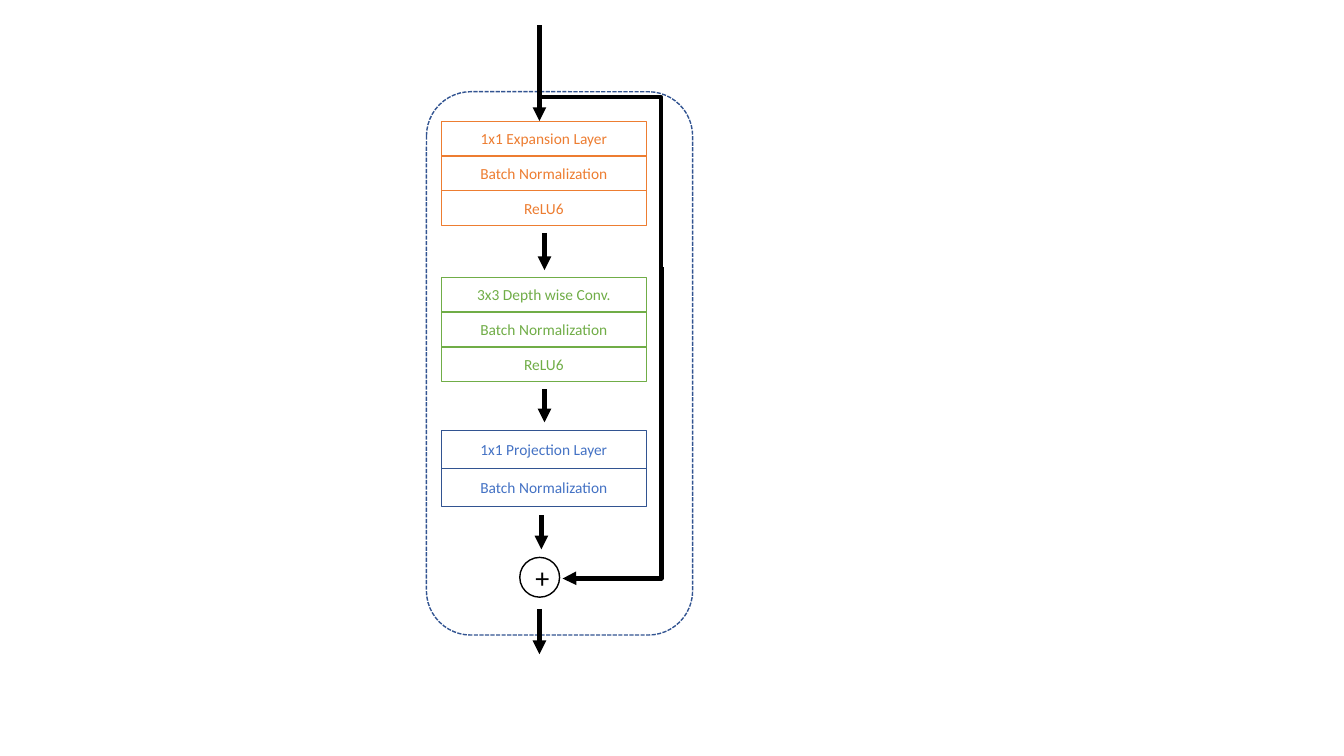
"""Build a slide of an inverted residual block with its skip path."""
from dataclasses import dataclass

from pptx import Presentation
from pptx.dml.color import RGBColor
from pptx.enum.dml import MSO_LINE as Dash
from pptx.enum.shapes import MSO_CONNECTOR as Link, MSO_SHAPE as Form
from pptx.enum.text import MSO_ANCHOR as Anchor, PP_ALIGN as Align
from pptx.oxml.ns import qn
from pptx.util import Inches, Pt


@dataclass(frozen=True)
class Theme:
    """Colours, type sizes, line widths and the grid cell in inches."""
    expansion: str = "ED7D31"
    depthwise: str = "70AD47"
    projection: str = "4472C4"
    frame: str = "325491"
    flow: str = "000000"
    font: str = "Calibri"
    label_size: float = 11
    sum_size: float = 20
    thin: float = 1
    thick: float = 3.25
    cell: float = 0.1


class BlockDiagram:
    """Draws diagram parts on one slide in grid columns and rows."""

    def __init__(self, slide, theme):
        """Keep the slide and its style."""
        self.slide, self.theme = slide, theme

    def grid(self, *cells):
        """Turn grid cells into lengths."""
        return [Inches(cell * self.theme.cell) for cell in cells]

    def outline(self, form, at, colour, parent=None):
        """Add an unfilled shape with a thin line."""
        shape = (parent or self.slide).shapes.add_shape(form, *self.grid(*at))
        shape.shadow.inherit = False
        shape.fill.background()
        shape.line.color.rgb = RGBColor.from_string(colour)
        shape.line.width = Pt(self.theme.thin)
        return shape

    def label(self, shape, wording, size, colour):
        """Write centred text in a shape."""
        shape.text_frame.vertical_anchor = Anchor.MIDDLE
        paragraph = shape.text_frame.paragraphs[0]
        paragraph.text, paragraph.alignment = wording, Align.CENTER
        paragraph.font.name, paragraph.font.size = self.theme.font, Pt(size)
        paragraph.font.color.rgb = RGBColor.from_string(colour)

    def stage(self, top, height, layers, colour, edge=None):
        """Stack the layers of one stage as a group."""
        group = self.slide.shapes.add_group_shape()
        for row, layer in enumerate(layers):
            at = (43.8, top + row * height, 20.3, height)
            box = self.outline(Form.RECTANGLE, at, edge or colour, group)
            self.label(box, layer, self.theme.label_size, colour)

    def flow(self, start, end, kind=Link.STRAIGHT, head=True):
        """Add a thick connector, with an arrowhead if wanted."""
        link = self.slide.shapes.add_connector(kind, *self.grid(*start, *end))
        link.line.color.rgb = RGBColor.from_string(self.theme.flow)
        link.line.width = Pt(self.theme.thick)
        if head:
            tail = link.line._get_or_add_ln().makeelement(qn("a:tailEnd"), {"type": "triangle"})
            link.line._get_or_add_ln().append(tail)
        properties = link._element.spPr
        properties.append(properties.makeelement(qn("a:effectLst"), {}))
        return link

    def bend(self, start, end, turn, knee, head):
        """Add an elbow turned by 90 or 270 degrees, bent at a share of its length."""
        middle = [(a + b) / 2 for a, b in zip(start, end)]
        across, down = start[0] - middle[0], start[1] - middle[1]
        sign = 1 if turn == 90 else -1
        shift = (sign * down, -sign * across)
        link = self.flow([m + s for m, s in zip(middle, shift)],
                         [m - s for m, s in zip(middle, shift)], Link.ELBOW, head)
        properties = link._element.spPr
        properties.find(qn("a:xfrm")).set("rot", str(turn * 60000))
        guides = properties.find(qn("a:prstGeom")).find(qn("a:avLst"))
        guides.append(guides.makeelement(
            qn("a:gd"), {"name": "adj1", "fmla": f"val {round(knee * 100000)}"}))


def main():
    """Draw the block and save the deck."""
    deck = Presentation()
    deck.slide_width, deck.slide_height = Inches(13.33), Inches(7.5)
    theme = Theme()
    diagram = BlockDiagram(deck.slides.add_slide(deck.slide_layouts[6]), theme)

    frame = diagram.outline(Form.ROUNDED_RECTANGLE, (42.3, 9.1, 26.4, 53.9), theme.frame)
    frame.line.dash_style = Dash.SQUARE_DOT

    activation = ["Batch Normalization", "ReLU6"]
    diagram.stage(12.05, 3.44, ["1x1 Expansion Layer", *activation], theme.expansion)
    diagram.stage(27.53, 3.44, ["3x3 Depth wise Conv.", *activation], theme.depthwise)
    diagram.stage(42.7, 3.79, ["1x1 Projection Layer", activation[0]],
                  theme.projection, theme.frame)

    for column, top, bottom in [(53.5, 2.5, 12), (54, 23.1, 26.8), (54, 38.6, 41.9),
                                (53.7, 51.1, 54.5), (53.5, 60.4, 64.9)]:
        diagram.flow((column, top), (column, bottom))

    diagram.bend((65.6, 26.5), (55.8, 57.4), turn=90, knee=0.999, head=True)
    addition = diagram.outline(Form.OVAL, (51.55, 55.3, 3.95, 3.95), theme.flow)
    diagram.label(addition, "+", theme.sum_size, theme.flow)
    diagram.bend((53.5, 10), (65.55, 27.4), turn=270, knee=-0.022, head=False)

    deck.save("out.pptx")


main()
